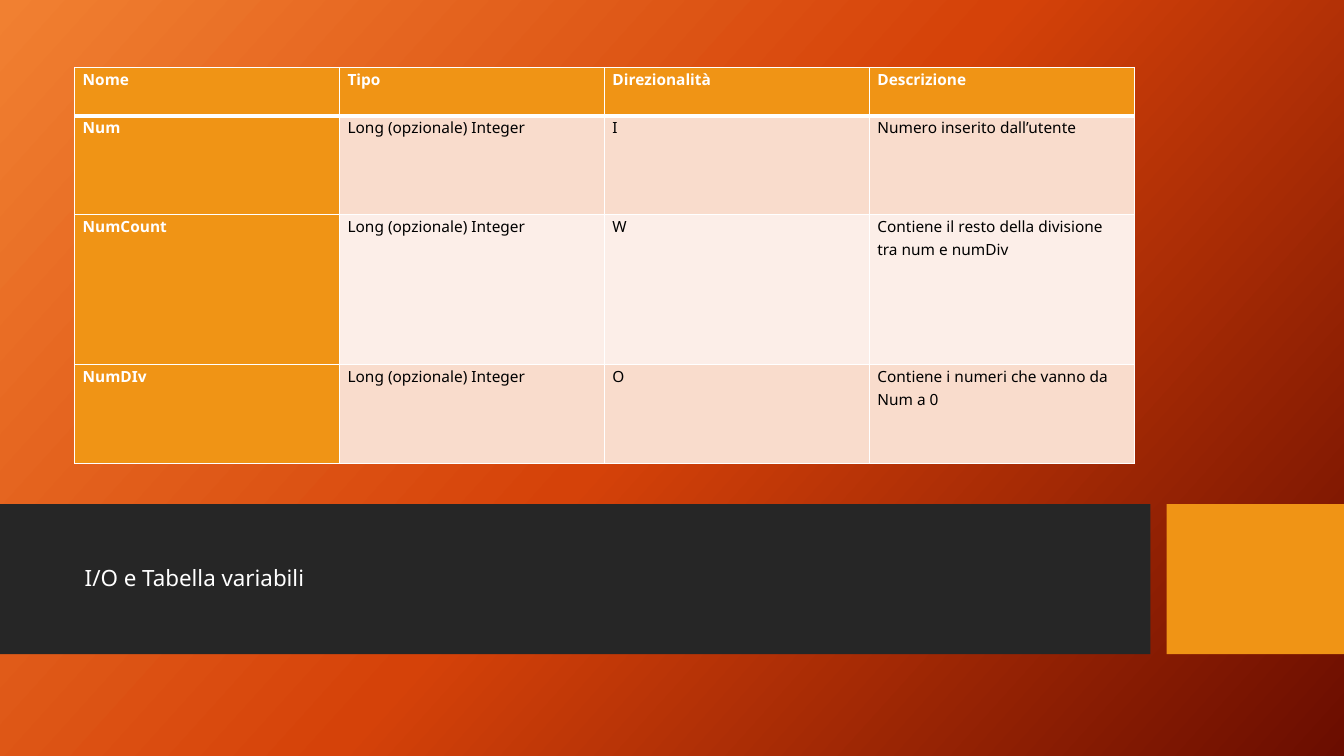
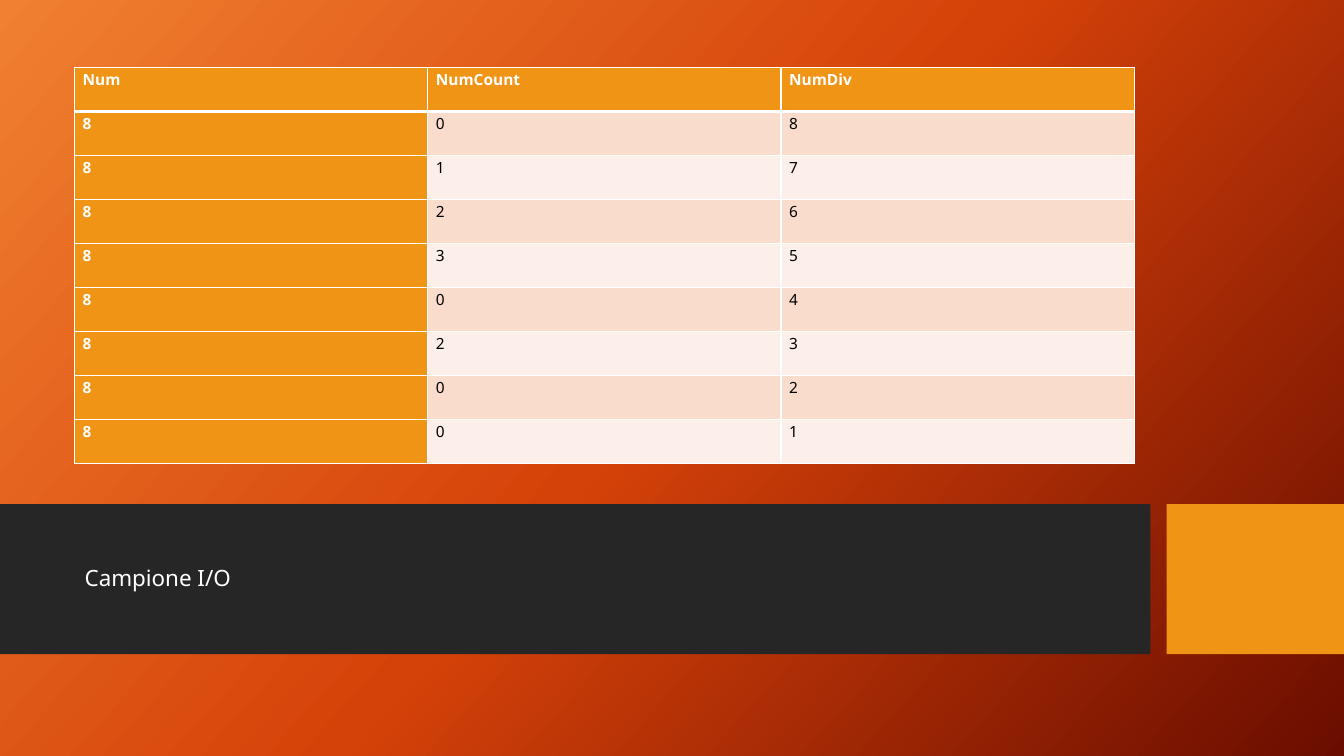
"""Build two table slides that share one gradient layout and a title band."""
from copy import deepcopy

from lxml.etree import SubElement
from pptx import Presentation
from pptx.dml.color import RGBColor
from pptx.enum.shapes import MSO_SHAPE as Shape
from pptx.enum.text import MSO_ANCHOR as Anchor, MSO_AUTO_SIZE as AutoSize, PP_ALIGN as Align
from pptx.oxml import parse_xml
from pptx.oxml.ns import nsdecls, qn
from pptx.util import Inches, Pt

LONG = "Long (opzionale) Integer"
SLIDES = [
    {
        "title": "I/O e Tabella variabili",
        "heights": [0.48, 0.98, 1.49, 0.98],
        "rows": [
            ("Nome", "Tipo", "Direzionalità", "Descrizione"),
            ("Num", LONG, "I", "Numero inserito dall’utente"),
            ("NumCount", LONG, "W", "Contiene il resto della divisione tra num e numDiv"),
            ("NumDIv", LONG, "O", "Contiene i numeri che vanno da Num a 0"),
        ],
    },
    {
        "title": "Campione I/O",
        "heights": [3.93 / 9] * 9,
        "rows": [
            ("Num", "NumCount", "NumDiv"),
            ("8", "0", "8"),
            ("8", "1", "7"),
            ("8", "2", "6"),
            ("8", "3", "5"),
            ("8", "0", "4"),
            ("8", "2", "3"),
            ("8", "0", "2"),
            ("8", "0", "1"),
        ],
    },
]

FONT = "Noto Sans"
WHITE, BLACK, DARK, ORANGE = "FFFFFF", "000000", "262626", "F09415"
STRIPES = ["FCEEE8", "F9DCCC"]
GRADIENT = [(0, "F18031"), (0.5, "D54209"), (1, "6A0D00")]
GRADIENT_ANGLE = 42
BANDS = [(0, 11.41, DARK), (11.57, 1.76, ORANGE)]
BAND_TOP, BAND_HEIGHT = 5, 1.49
LEFT, WIDTH = 0.74, 10.51
TABLE_TOP = 0.67
TITLE_TOP, TITLE_HEIGHT = 5.15, 1.19


def color(value):
    return RGBColor.from_string(value)


def style_para(para, size, ink, bold, spacing, before=0, after=0):
    para.alignment = Align.LEFT
    para.line_spacing = spacing
    para.space_before, para.space_after = Pt(before), Pt(after)
    for span in para.runs:
        span.font.name, span.font.size, span.font.bold = FONT, Pt(size), bold
        span.font.color.rgb = color(ink)


def paint_background(layout):
    fill = layout.background.fill
    fill.gradient()
    stops = layout.element.xpath(".//a:gsLst")[0]
    stops.insert(1, deepcopy(stops[0]))
    for stop, (position, value) in zip(fill.gradient_stops, GRADIENT):
        stop.position, stop.color.rgb = position, color(value)
    fill.gradient_angle = 360 - GRADIENT_ANGLE


def add_bands(page):
    for index, (left, width, value) in enumerate(BANDS):
        band = page.shapes.add_shape(Shape.RECTANGLE, Inches(left), Inches(BAND_TOP),
                                     Inches(width), Inches(BAND_HEIGHT))
        band.shadow.inherit = False
        band.fill.solid()
        band.fill.fore_color.rgb = color(value)
        band.line.fill.background()
        page.shapes.element.insert(2 + index, band.element)


def add_title(page, text):
    box = page.shapes.title
    box.left, box.top = Inches(LEFT), Inches(TITLE_TOP)
    box.width, box.height = Inches(WIDTH), Inches(TITLE_HEIGHT)
    frame = box.text_frame
    frame.text = text
    frame.word_wrap, frame.auto_size = True, AutoSize.NONE
    frame.vertical_anchor = Anchor.MIDDLE
    style_para(frame.paragraphs[0], 16, WHITE, False, 0.9, before=10)


def add_borders(properties, row):
    widths = {"L": 1, "R": 1, "T": 3 if row == 1 else 1, "B": 3 if row == 0 else 1}
    for index, (side, width) in enumerate(widths.items()):
        line = parse_xml(f'<a:ln{side} {nsdecls("a")} w="{Pt(width)}"/>')
        SubElement(SubElement(line, qn("a:solidFill")), qn("a:srgbClr"), val=WHITE)
        properties.insert(index, line)


def style_cell(cell, text, row, column):
    heading = row == 0 or column == 0
    cell.text = text
    cell.margin_left, cell.margin_right = Inches(0.08), Inches(0.1)
    cell.margin_top = cell.margin_bottom = 0
    cell.fill.solid()
    cell.fill.fore_color.rgb = color(ORANGE if heading else STRIPES[row % 2])
    style_para(cell.text_frame.paragraphs[0], 11, WHITE if heading else BLACK,
               heading, 1.07, after=8)


def add_grid(page, rows, heights):
    count = len(rows[0])
    holder = page.shapes.add_table(len(rows), count, Inches(LEFT), Inches(TABLE_TOP),
                                   Inches(WIDTH), Inches(sum(heights)))
    table = holder.table
    table.first_col = True
    for column in table.columns:
        column.width = Inches(WIDTH / count)
    for row, (texts, height) in enumerate(zip(rows, heights)):
        table.rows[row].height = Inches(height)
        for column, text in enumerate(texts):
            style_cell(table.cell(row, column), text, row, column)
    for index, properties in enumerate(holder.element.xpath(".//a:tcPr")):
        add_borders(properties, index // count)


deck = Presentation()
deck.slide_width, deck.slide_height = Inches(13.33), Inches(7.5)
title_only = deck.slide_layouts.get_by_name("Title Only")
paint_background(title_only)
for content in SLIDES:
    page = deck.slides.add_slide(title_only)
    add_bands(page)
    add_title(page, content["title"])
    add_grid(page, content["rows"], content["heights"])
deck.save("out.pptx")
